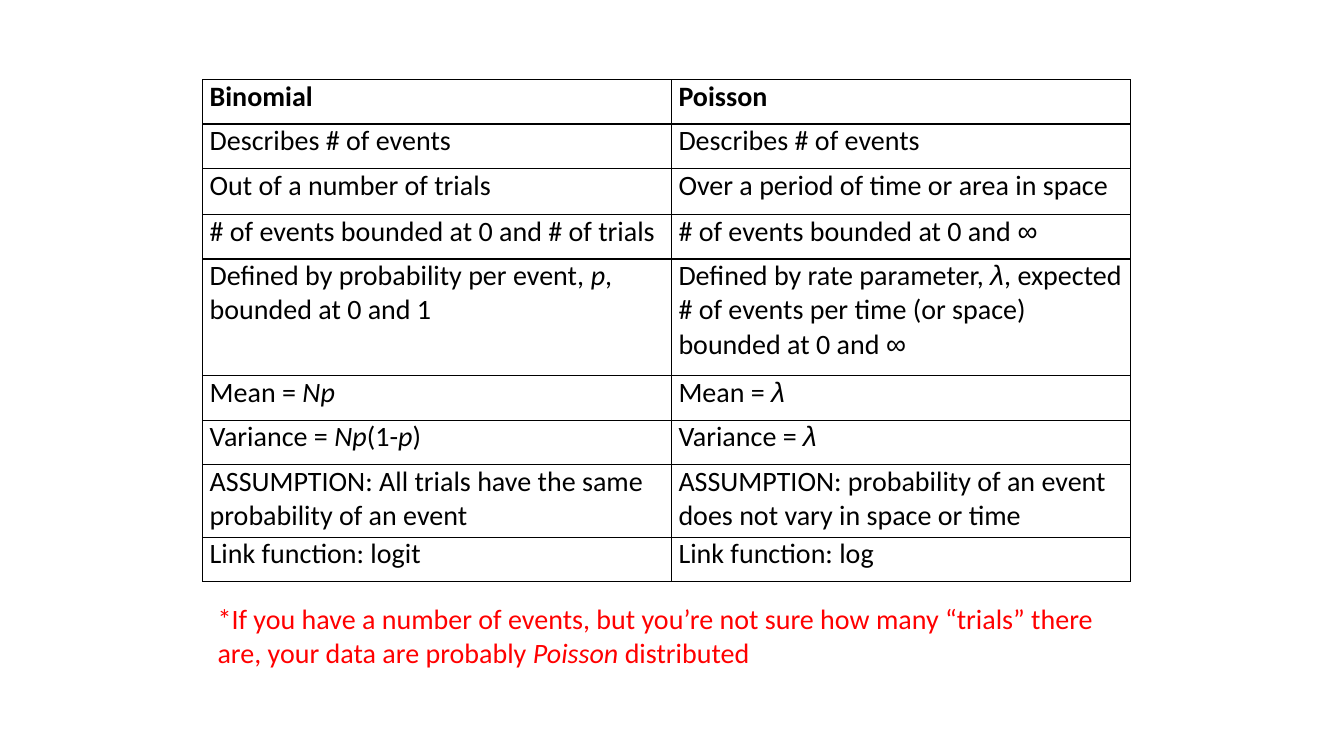
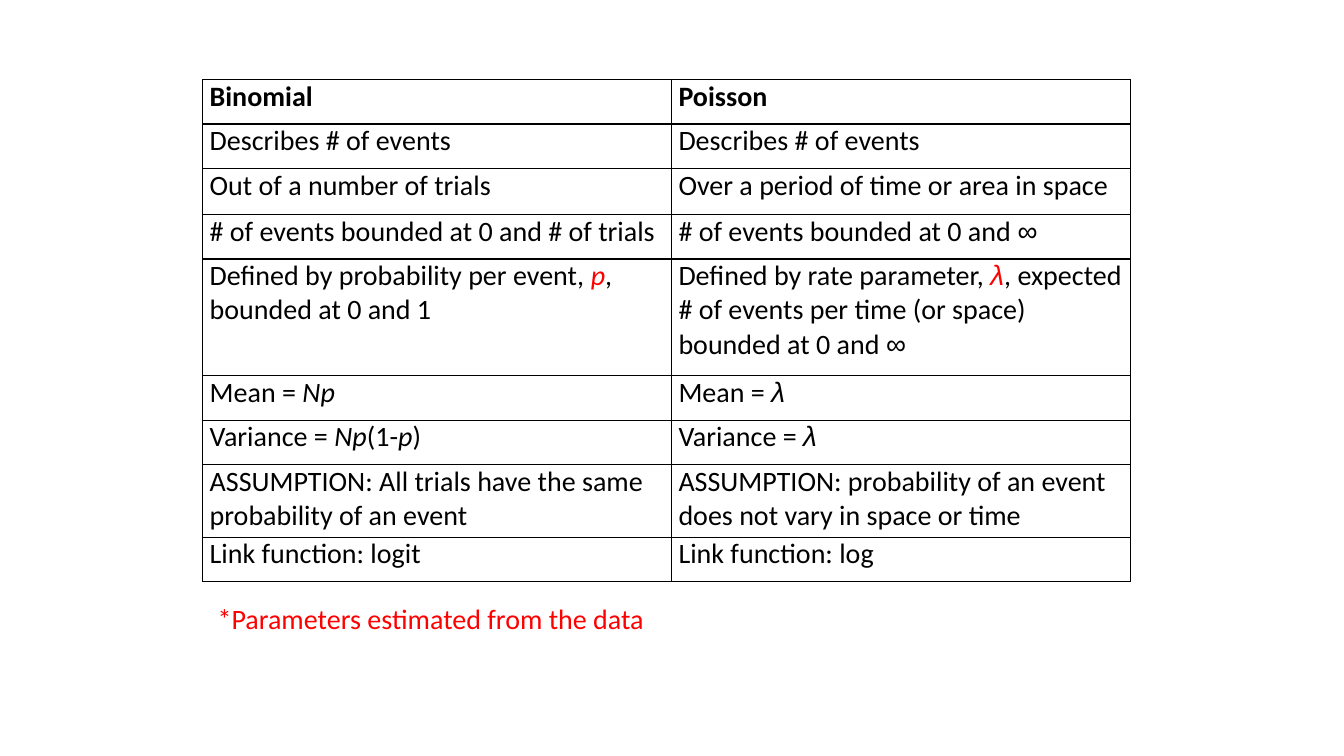
from itertools import groupby

from lxml import etree
from pptx import Presentation
from pptx.dml.color import RGBColor
from pptx.enum.text import MSO_AUTO_SIZE
from pptx.oxml.ns import qn
from pptx.util import Inches, Pt

FIT_SHAPE = MSO_AUTO_SIZE.SHAPE_TO_FIT_TEXT
SLIDE_WIDTH, SLIDE_HEIGHT = 13.33, 7.5
COLORS = {"text": "000000", "accent": "FF0000", "border": "000000"}
BODY_FONT, SYMBOL_FONT, SYMBOLS = "Calibri", "Arial", "λ∞"
TEXT_SIZE = 20
BORDER_WIDTH = 1
BORDER_SIDES = ("a:lnL", "a:lnR", "a:lnT", "a:lnB")
TABLE_LEFT, TABLE_TOP = 2.01, 0.79
COLUMN_WIDTHS = (4.65, 4.55)
LINE_ROW = 0.44
ROW_HEIGHTS = (LINE_ROW, LINE_ROW, 0.46, LINE_ROW, 1.16, LINE_ROW, LINE_ROW, 0.72, LINE_ROW)
CELL_INSET = 0.07
NOTE_LEFT, NOTE_TOP, NOTE_WIDTH = 2.06, 5.92, 9.1
PARAMETER_ROW = 4

COMPARISON = (
    ("Binomial", "Poisson"),
    ("Describes # of events", "Describes # of events"),
    ("Out of a number of trials", "Over a period of time or area in space"),
    ("# of events bounded at 0 and # of trials", "# of events bounded at 0 and ∞"),
    ("Defined by probability per event, _p_, bounded at 0 and 1",
     "Defined by rate parameter, _λ_, expected # of events per time (or space) bounded at 0 and ∞"),
    ("Mean = _Np_", "Mean = _λ_"),
    ("Variance = _Np_(1-_p_)", "Variance = _λ_"),
    ("ASSUMPTION: All trials have the same probability of an event",
     "ASSUMPTION: probability of an event does not vary in space or time"),
    ("Link function: logit", "Link function: log"),
)
TRIALS_NOTE = ("*If you have a number of events, but you’re not sure how many “trials” there are, "
               "your data are probably _Poisson _distributed")
PARAMETERS_NOTE = "*Parameters estimated from the data"


def rgb(color):
    """Return the named palette colour."""
    return RGBColor.from_string(COLORS[color])


def write_text(frame, marked_text, color="text", bold=False, italic_color=None):
    """Write one paragraph, with italics between underscores and symbols in their own font."""
    paragraph = frame.paragraphs[0]
    font = paragraph.font
    font.name, font.size, font.bold = BODY_FONT, Pt(TEXT_SIZE), bold
    font.color.rgb = rgb(color)
    for position, phrase in enumerate(marked_text.split("_")):
        for is_symbol, letters in groupby(phrase, key=lambda letter: letter in SYMBOLS):
            run = paragraph.add_run()
            run.text = "".join(letters)
            if is_symbol:
                run.font.name = SYMBOL_FONT
            if position % 2:
                run.font.italic = True
                if italic_color:
                    run.font.color.rgb = rgb(italic_color)


def add_borders(cell):
    """Draw a solid line on all four sides of a cell."""
    properties = cell._tc.get_or_add_tcPr()
    for side in BORDER_SIDES:
        line = etree.SubElement(properties, qn(side), w=str(Pt(BORDER_WIDTH)))
        solid = etree.SubElement(line, qn("a:solidFill"))
        etree.SubElement(solid, qn("a:srgbClr"), val=COLORS["border"])


def add_comparison(slide, highlighted_row=None):
    """Add the comparison table, with the italics of one row highlighted."""
    table = slide.shapes.add_table(
        len(ROW_HEIGHTS), len(COLUMN_WIDTHS), Inches(TABLE_LEFT), Inches(TABLE_TOP),
        Inches(sum(COLUMN_WIDTHS)), Inches(sum(ROW_HEIGHTS))).table
    table.first_row = table.horz_banding = False
    for column, width in zip(table.columns, COLUMN_WIDTHS):
        column.width = Inches(width)
    for index, (row, height, statements) in enumerate(zip(table.rows, ROW_HEIGHTS, COMPARISON)):
        row.height = Inches(height)
        italic_color = "accent" if index == highlighted_row else None
        for cell, statement in zip(row.cells, statements):
            cell.margin_left = cell.margin_right = Inches(CELL_INSET)
            cell.margin_top = cell.margin_bottom = 0
            add_borders(cell)
            cell.fill.background()
            write_text(cell.text_frame, statement, bold=index == 0, italic_color=italic_color)


def add_note(slide, note, height):
    """Add the red remark below the table."""
    frame = slide.shapes.add_textbox(
        Inches(NOTE_LEFT), Inches(NOTE_TOP), Inches(NOTE_WIDTH), Inches(height)).text_frame
    frame.word_wrap = True
    frame.auto_size = FIT_SHAPE
    write_text(frame, note, color="accent")


def main():
    """Build and save both comparison slides."""
    deck = Presentation()
    deck.slide_width, deck.slide_height = Inches(SLIDE_WIDTH), Inches(SLIDE_HEIGHT)
    blank = deck.slide_layouts[6]
    for note, note_height, highlighted_row in (
            (TRIALS_NOTE, 0.77, None), (PARAMETERS_NOTE, 0.44, PARAMETER_ROW)):
        slide = deck.slides.add_slide(blank)
        add_comparison(slide, highlighted_row)
        add_note(slide, note, note_height)
    deck.save("out.pptx")


if __name__ == "__main__":
    main()
